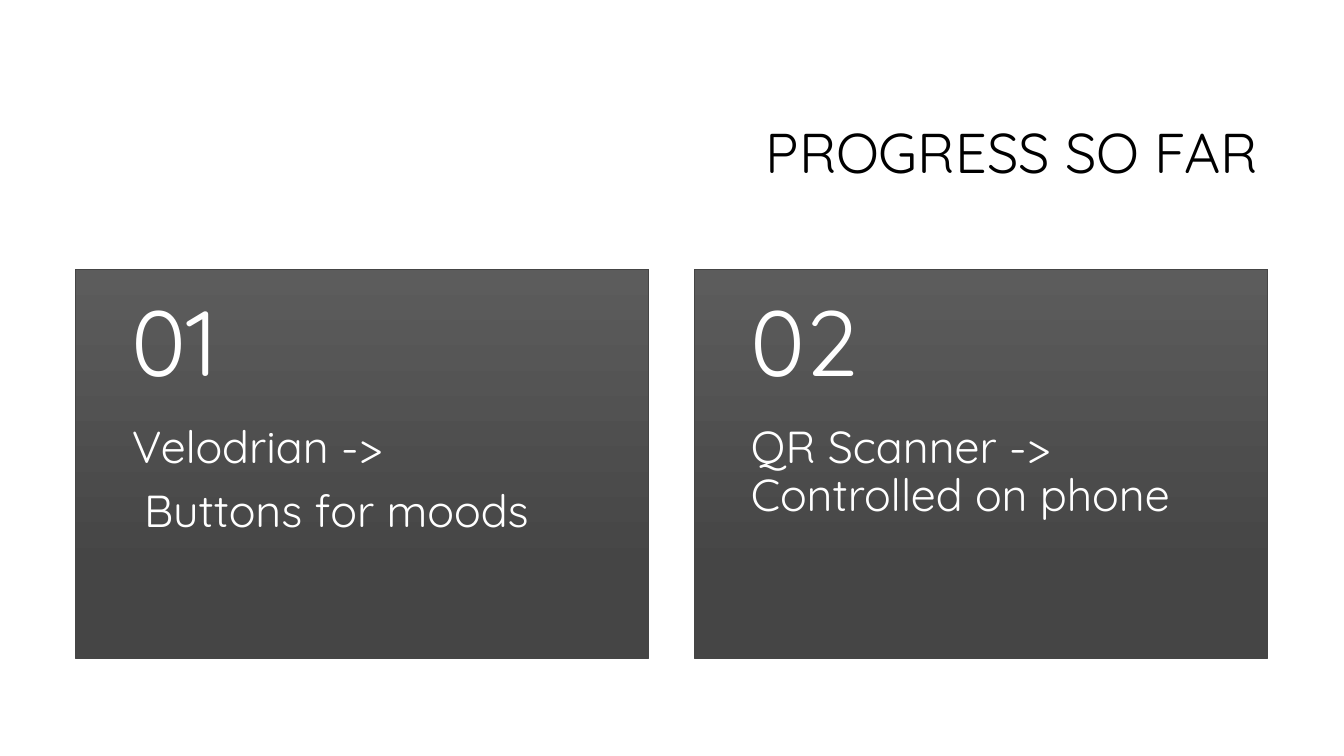
"""Build the slide "Progress so far" with two numbered cards."""
import pptx
import pptx.dml.color
import pptx.enum.shapes
import pptx.enum.text
import pptx.util

Pt = pptx.util.Pt
ALIGN = pptx.enum.text.PP_ALIGN
ANCHOR = pptx.enum.text.MSO_ANCHOR

HEADING = "PROGRESS SO FAR"
CARDS = [
    ("01", [("Velodrian ->", 0), ("Buttons for moods", 8.6)]),
    ("02", [("QR Scanner -> Controlled on phone", 0)]),
]
FONT = "Quicksand"
INK, PAPER, CARD_TOP, CARD_BOTTOM = "000000", "FFFFFF", "5C5C5C", "454545"

SLIDE_WIDTH, SLIDE_HEIGHT = 960, 540
CARD_LEFT, CARD_Y, CARD_WIDTH, CARD_HEIGHT = 54, 192.4, 409.6, 278
CARD_PITCH = 442
NUMBER_HEIGHT = 111
SIDE_INSET = 40.3


def rgb(code):
    return pptx.dml.color.RGBColor.from_string(code)


def add_text(slide, box, lines, size, color, insets, anchor, align=ALIGN.LEFT):
    frame = slide.shapes.add_textbox(*map(Pt, box)).text_frame
    frame.word_wrap = True
    frame.vertical_anchor = anchor
    (frame.margin_left, frame.margin_top,
     frame.margin_right, frame.margin_bottom) = map(Pt, insets)
    for index, (line, indent) in enumerate(lines):
        paragraph = frame.add_paragraph() if index else frame.paragraphs[0]
        paragraph.alignment = align
        paragraph.line_spacing = 0.9
        paragraph.space_after = Pt(0.35 * size)
        if indent:
            paragraph._p.get_or_add_pPr().set("marL", str(Pt(indent)))
        run = paragraph.add_run()
        run.text = line
        run.font.name = FONT
        run.font.size = Pt(size)
        run.font.color.rgb = rgb(color)


def add_card(slide, left, number, lines):
    panel = slide.shapes.add_shape(
        pptx.enum.shapes.MSO_SHAPE.RECTANGLE,
        *map(Pt, (left, CARD_Y, CARD_WIDTH, CARD_HEIGHT)))
    panel.shadow.inherit = False
    panel.fill.gradient()
    panel.fill.gradient_angle = 270
    shades = [(0, CARD_TOP), (0.78, CARD_BOTTOM)]
    for stop, (position, shade) in zip(panel.fill.gradient_stops, shades):
        stop.position = position
        stop.color.rgb = rgb(shade)
    panel.line.color.rgb = rgb(CARD_BOTTOM)
    panel.line.width = Pt(0.75)

    body_box = (left, CARD_Y + NUMBER_HEIGHT, CARD_WIDTH, CARD_HEIGHT - NUMBER_HEIGHT)
    add_text(slide, body_box, lines, 32, PAPER,
             (SIDE_INSET, 0, SIDE_INSET, 26), ANCHOR.TOP)
    number_box = (left, CARD_Y, CARD_WIDTH, NUMBER_HEIGHT)
    add_text(slide, number_box, [(number, 0)], 66, PAPER,
             (SIDE_INSET, 13, SIDE_INSET, 13), ANCHOR.MIDDLE)


def main():
    deck = pptx.Presentation()
    deck.slide_width, deck.slide_height = Pt(SLIDE_WIDTH), Pt(SLIDE_HEIGHT)
    slide = deck.slides.add_slide(deck.slide_layouts[6])
    slide.background.fill.solid()
    slide.background.fill.fore_color.rgb = rgb(PAPER)
    add_text(slide, (228, 60.5, 678, 101.5), [(HEADING, 0)], 40, INK,
             (7.2, 3.6, 7.2, 3.6), ANCHOR.MIDDLE, ALIGN.RIGHT)
    for index, (number, lines) in enumerate(CARDS):
        add_card(slide, CARD_LEFT + index * CARD_PITCH, number, lines)
    deck.save("out.pptx")


if __name__ == "__main__":
    main()
